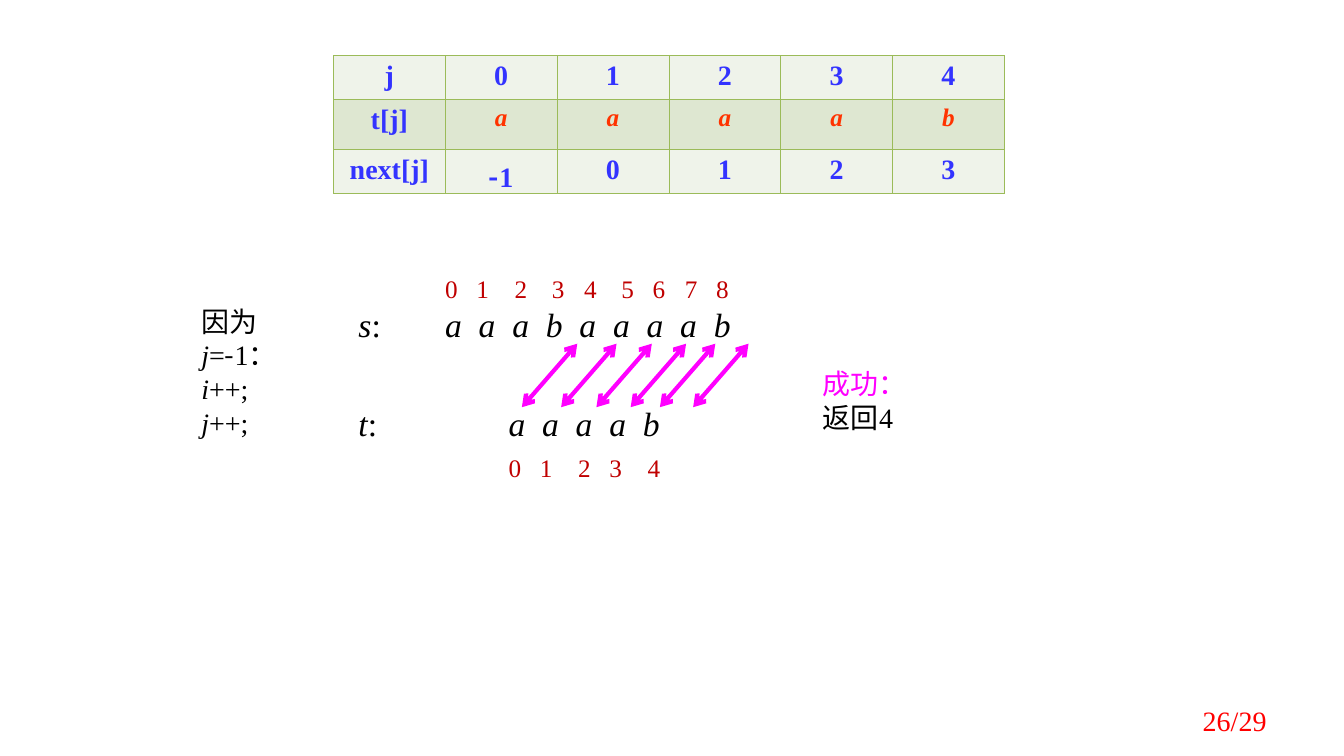
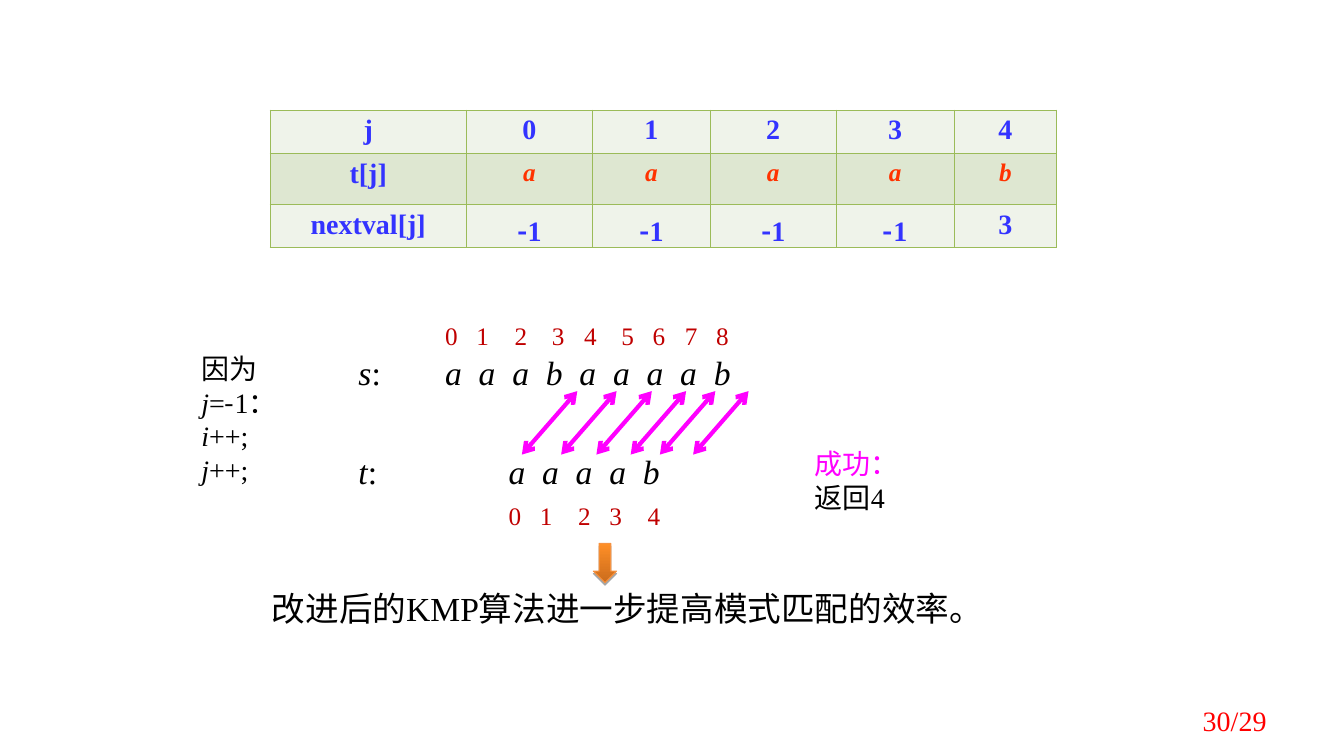
from itertools import accumulate

from lxml.etree import SubElement
from pptx import Presentation
from pptx.dml.color import RGBColor
from pptx.enum.shapes import MSO_CONNECTOR, MSO_SHAPE
from pptx.enum.text import MSO_ANCHOR, PP_ALIGN
from pptx.oxml.ns import qn
from pptx.util import Inches, Pt

COLORS = {
    "black": "000000", "index": "C00000", "match": "FF00FF", "page": "FF0000",
    "label": "3333FF", "pattern": "FF3300", "light": "EFF3EA", "band": "DEE7D1",
    "border": "9BBB59", "arrow_dark": "CB6C1D", "arrow_light": "FF8F26",
    "arrow_line": "F69240",
}
LATIN, CJK = "Times New Roman", "Noto Sans CJK SC"
MINUS = ("-", {"font": CJK})
ITALIC = {"italic": True}
LETTER_GAP = 1 / 3
ARROW_ENDS = (5.73, 6.12, 6.47, 6.81, 7.1, 7.43)


def rgb(name):
    return RGBColor.from_string(COLORS[name])


def add_span(para, text, size=20, color="black", bold=False, italic=False, font=LATIN):
    span = para.add_run()
    span.text = text
    span.font.size, span.font.name = Pt(size), font
    span.font.bold, span.font.italic = bold, italic
    span.font.color.rgb = rgb(color)
    SubElement(span.font._element, qn("a:ea"), typeface=CJK)


def add_tab_stops(para, gaps):
    """Set one left tab stop after each gap, in inches."""
    tabs = SubElement(para._p.get_or_add_pPr(), qn("a:tabLst"))
    for position in accumulate(gaps):
        SubElement(tabs, qn("a:tab"), pos=str(Inches(position)), algn="l")


class Lecture:
    """Holds the deck, the current slide and the shared style."""

    def __init__(self):
        self.deck = Presentation()
        self.deck.slide_width, self.deck.slide_height = Inches(13.34), Inches(7.5)
        self.page = None

    def new_page(self, number):
        self.page = self.deck.slides.add_slide(self.deck.slide_layouts[6])
        footer = self.text(9.56, 6.95, 3.11, 0.4, [[(number, {"color": "page"})]])
        footer.vertical_anchor = MSO_ANCHOR.MIDDLE
        footer.paragraphs[0].alignment = PP_ALIGN.RIGHT

    def text(self, left, top, width, height, lines, **style):
        """Each line is a list of (text, format) spans; style is their default."""
        box = self.page.shapes.add_textbox(
            Inches(left), Inches(top), Inches(width), Inches(height))
        frame = box.text_frame
        frame.word_wrap = True
        for number, line in enumerate(lines):
            para = frame.add_paragraph() if number else frame.paragraphs[0]
            for text, changes in line:
                add_span(para, text, **{**style, **changes})
        return frame

    def spaced_row(self, left, top, width, height, characters, gaps, **style):
        """Place single characters at tab stops."""
        frame = self.text(left, top, width, height, [])
        add_tab_stops(frame.paragraphs[0], gaps)
        add_span(frame.paragraphs[0], "\t".join(characters), **style)

    def match_arrow(self, x_top, y_top, x_bottom, y_bottom):
        arrow = self.page.shapes.add_connector(
            MSO_CONNECTOR.STRAIGHT, Inches(x_top), Inches(y_top),
            Inches(x_bottom), Inches(y_bottom))
        arrow.line.color.rgb, arrow.line.width = rgb("match"), Pt(3)
        for end in ("a:headEnd", "a:tailEnd"):
            SubElement(arrow.line._get_or_add_ln(), qn(end), type="arrow")
        SubElement(arrow._element.spPr, qn("a:effectLst"))

    def cell(self, cell, spans, fill, **style):
        properties = cell._tc.get_or_add_tcPr()
        for side in ("L", "R", "T", "B"):
            border = SubElement(properties, qn(f"a:ln{side}"), w=str(Pt(0.45)))
            paint = SubElement(border, qn("a:solidFill"))
            SubElement(paint, qn("a:srgbClr"), val=COLORS["border"])
        cell.fill.solid()
        cell.fill.fore_color.rgb = rgb(fill)
        para = cell.text_frame.paragraphs[0]
        para.alignment = PP_ALIGN.CENTER
        for text, changes in spans:
            add_span(para, text, bold=True, **{**style, **changes})

    def next_table(self, left, top, widths, name, values, last_margin=0.05):
        rows = (["j", *"01234"], ["t[j]", *"aaaab"], [name, *values])
        heights = (0.43, 0.5, 0.43)
        table = self.page.shapes.add_table(
            len(rows), len(widths), Inches(left), Inches(top),
            Inches(sum(widths)), Inches(sum(heights))).table
        for column, width in zip(table.columns, widths):
            column.width = Inches(width)
        for r, (row, height) in enumerate(zip(rows, heights)):
            table.rows[r].height = Inches(height)
            for c, value in enumerate(row):
                style = {"color": "label"}
                if r == 1 and c:
                    style = {"color": "pattern", "size": 18, "italic": True}
                spans = [MINUS, ("1", {})] if value == "-1" else [(value, {})]
                self.cell(table.cell(r, c), spans, "band" if r == 1 else "light", **style)
                if r == 2:
                    table.cell(r, c).margin_bottom = Inches(last_margin)

    def matching(self, top):
        """Text s above pattern t, with indices, the step taken and arrows."""
        letters = {"size": 24, "italic": True}
        indices = {"size": 18, "color": "index"}
        rows = (
            ("s", 4.32, top + 0.31, 3.36, "aaabaaaab", top,
             (0.31, 0.38, 0.37, 0.32, 0.37, 0.31, 0.32, 0.31)),
            ("t", 4.95, top + 1.29, 2.27, "aaaab", top + 1.78,
             (0.31, 0.38, 0.31, 0.38)),
        )
        for name, left, row_top, width, string, index_top, index_gaps in rows:
            self.text(3.46, row_top, 0.7, 0.5, [[(name, ITALIC), (":", {})]], size=24)
            self.spaced_row(left, row_top, width, 0.5, string,
                            [LETTER_GAP] * (len(string) - 1), **letters)
            self.spaced_row(left, index_top, width, 0.4,
                            map(str, range(len(string))), index_gaps, **indices)
        self.text(1.9, top + 0.31, 1.33, 1.1, [
            [("因为", {}), ("j", ITALIC), ("=", {}), MINUS, ("1：", {})],
            [("i", ITALIC), ("++;", {})],
            [("j", ITALIC), ("++;", {})],
        ])
        for x in ARROW_ENDS:
            self.match_arrow(x, top + 0.75, x - 0.55, top + 1.38)

    def result(self, left, top):
        self.text(left, top, 1.48, 0.77,
                  [[("成功：", {"color": "match"})], [("返回4", {})]])

    def down_arrow(self, left, top, width, height):
        arrow = self.page.shapes.add_shape(
            MSO_SHAPE.DOWN_ARROW, Inches(left), Inches(top), Inches(width), Inches(height))
        arrow.fill.gradient()
        arrow.fill.gradient_angle = 90
        for stop, color in zip(arrow.fill.gradient_stops, ("arrow_dark", "arrow_light")):
            stop.color.rgb = rgb(color)
        arrow.line.color.rgb, arrow.line.width = rgb("arrow_line"), Pt(0.75)
        arrow.shadow.inherit = False
        effects = arrow._element.spPr.find(qn("a:effectLst"))
        shadow = SubElement(effects, qn("a:outerShdw"), blurRad="0",
                            dist=str(Pt(1.8)), dir="5400000", rotWithShape="0")
        shade = SubElement(shadow, qn("a:srgbClr"), val=COLORS["black"])
        SubElement(shade, qn("a:alpha"), val="35000")


def main():
    lecture = Lecture()

    lecture.new_page("26/29")
    lecture.next_table(3.31, 0.55, [1.11] * 6, "next[j]", ["-1", *"0123"])
    lecture.matching(2.66)
    lecture.result(8.07, 3.59)

    lecture.new_page("30/29")
    lecture.next_table(2.68, 1.09, [1.95, 1.25, 1.17, 1.25, 1.17, 1.02],
                       "nextval[j]", ["-1"] * 4 + ["3"], last_margin=0)
    lecture.matching(3.13)
    lecture.result(7.99, 4.38)
    lecture.down_arrow(5.89, 5.39, 0.23, 0.39)
    lecture.text(2.6, 5.78, 7.58, 0.5,
                 [[("改进后的KMP算法进一步提高模式匹配的效率。", {})]], size=24)

    lecture.deck.save("out.pptx")


if __name__ == "__main__":
    main()
